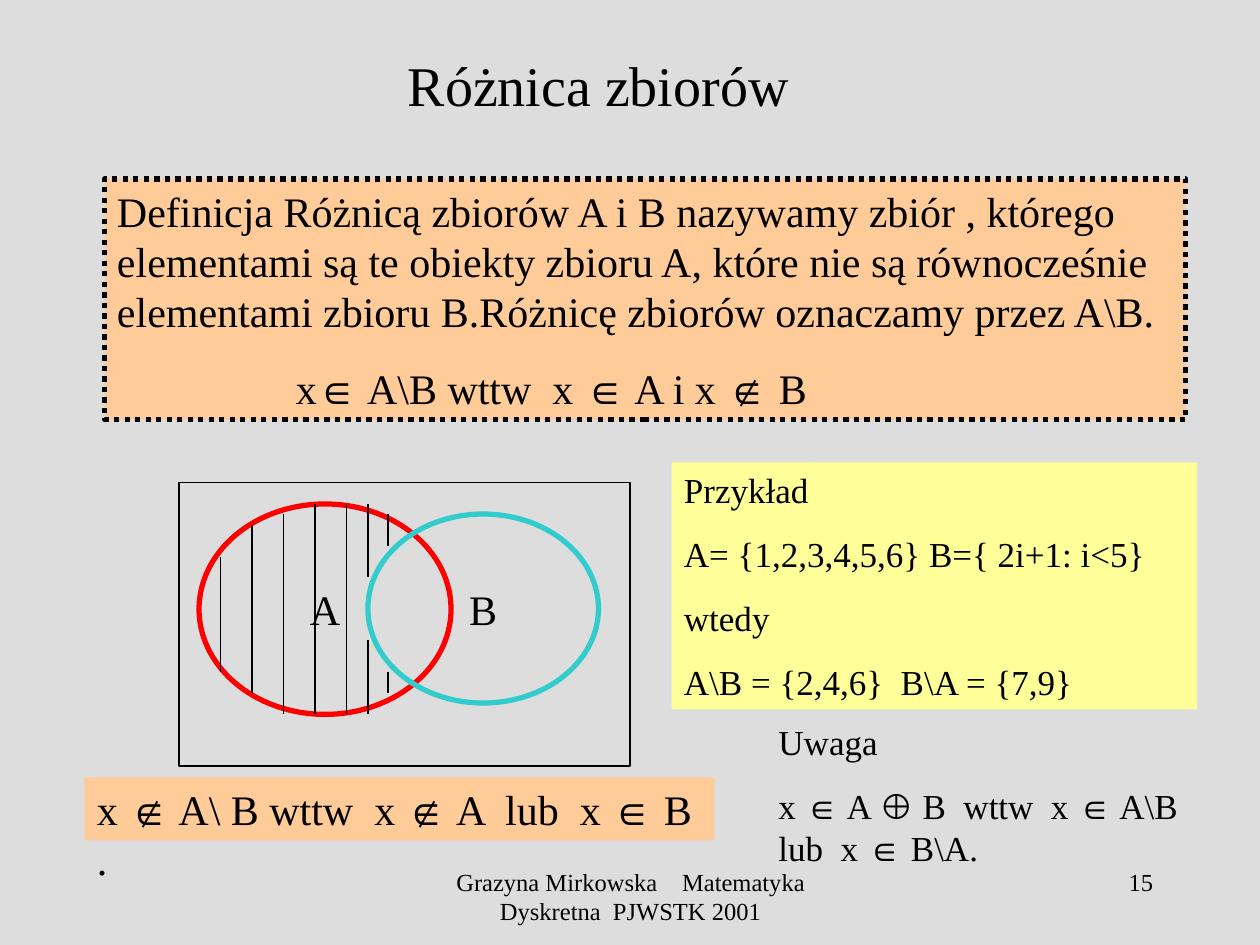
from itertools import groupby

from lxml.etree import SubElement
from pptx import Presentation
from pptx.dml.color import RGBColor
from pptx.enum.dml import MSO_LINE
from pptx.enum.shapes import MSO_CONNECTOR, MSO_SHAPE
from pptx.enum.text import MSO_ANCHOR, PP_ALIGN
from pptx.oxml.ns import qn
from pptx.util import Inches, Pt

COLORS = {
    "page": "DDDDDD",
    "ink": "000000",
    "peach": "FFCC99",
    "yellow": "FFFF99",
    "set_a": "FF0000",
    "set_b": "33CCCC",
}
SYMBOLS = "∈∉⊕"
FRAME_FORMAT = {
    "word_wrap": True,
    "vertical_anchor": MSO_ANCHOR.TOP,
    "margin_left": Inches(0.1),
    "margin_right": Inches(0.1),
    "margin_top": Inches(0.05),
    "margin_bottom": Inches(0.05),
}


def color(name):
    return RGBColor.from_string(COLORS[name])


def set_format(target, values):
    for name, value in values.items():
        setattr(target, name, value)


def add_span(para, text, size, font="Times New Roman"):
    span = para.add_run()
    span.text = text
    set_format(span.font, {"size": Pt(size), "name": font})
    span.font.color.rgb = color("ink")
    return span


def write(box, lines, size, align=PP_ALIGN.LEFT, gap=0, **frame_format):
    frame = box.text_frame
    set_format(frame, FRAME_FORMAT | frame_format)
    for index, line in enumerate(lines):
        para = frame.add_paragraph() if index else frame.paragraphs[0]
        set_format(para, {"alignment": align, "space_before": Pt(gap if index else 0)})
        for is_symbol, letters in groupby(line, lambda letter: letter in SYMBOLS):
            add_span(para, "".join(letters), size, "Arial" if is_symbol else "Times New Roman")
    return frame


def add_panel(page, kind, area, fill=None, line=None, weight=0.75):
    panel = page.shapes.add_shape(kind, *map(Inches, area))
    panel.shadow.inherit = False
    if fill:
        panel.fill.solid()
        panel.fill.fore_color.rgb = color(fill)
    else:
        panel.fill.background()
    if line:
        panel.line.color.rgb = color(line)
        panel.line.width = Pt(weight)
    else:
        panel.line.fill.background()
    return panel


def add_text(page, area, lines, size, **options):
    box = page.shapes.add_textbox(*map(Inches, area))
    return write(box, lines, size, **options)


def add_title(page, area):
    title = page.shapes.title
    set_format(title, dict(zip(("left", "top", "width", "height"), map(Inches, area))))
    write(title, ["Różnica zbiorów"], 32, PP_ALIGN.CENTER, vertical_anchor=MSO_ANCHOR.MIDDLE)


def add_definition(page, area):
    panel = add_panel(page, MSO_SHAPE.RECTANGLE, area, "peach", "ink", 3)
    panel.line.dash_style = MSO_LINE.ROUND_DOT
    frame = write(panel, [
        "Definicja Różnicą zbiorów A i B nazywamy zbiór , którego elementami są te obiekty "
        "zbioru A, które nie są równocześnie elementami zbioru B.Różnicę zbiorów oznaczamy "
        "przez A\\B.",
        "x∈ A\\B wttw  x ∈ A i x ∉ B",
    ], 24, gap=15)
    formula = frame.paragraphs[1].alignment and frame.paragraphs[1]._p.get_or_add_pPr()
    set_indent(frame.paragraphs[1], 1.42) if formula is None else formula.set("marL", str(Inches(1.42)))


def set_indent(para, indent):
    para._p.get_or_add_pPr().set("marL", str(Inches(indent)))


def add_venn(page, area):
    left, top, width, height = area
    circles = [
        ("A", "set_a", (left + 0.16, top + 0.17, 2, 1.67)),
        ("B", "set_b", (left + 1.5, top + 0.25, 1.83, 1.5)),
    ]
    for label, line, place in circles:
        circle = add_panel(page, MSO_SHAPE.OVAL, place, line=line, weight=3)
        write(circle, [label], 24, PP_ALIGN.CENTER, word_wrap=False,
              vertical_anchor=MSO_ANCHOR.MIDDLE)
    add_panel(page, MSO_SHAPE.RECTANGLE, area, line="ink")

    hatching = page.shapes.add_group_shape()
    strokes = [
        (0.33, 0.59, 1.5), (0.58, 0.34, 1.67), (0.83, 0.25, 1.84),
        (1.08, 0.17, 1.84), (1.33, 0.17, 1.84), (1.5, 0.17, 0.75),
        (1.5, 1.25, 1.84), (1.66, 0.25, 0.5), (1.66, 1.5, 1.67),
    ]
    for across, start, end in strokes:
        points = (left + across, top + start, left + across, top + end)
        stroke = hatching.shapes.add_connector(MSO_CONNECTOR.STRAIGHT, *map(Inches, points))
        stroke.line.color.rgb = color("ink")
        stroke.line.width = Pt(0.75)
        SubElement(stroke._element.spPr, qn("a:effectLst"))


def add_complement(page, area):
    panel = add_panel(page, MSO_SHAPE.RECTANGLE, area, "peach")
    write(panel, ["x ∉ A\\ B wttw  x ∉ A  lub  x ∈ B ."], 24)


def add_example(page, area):
    panel = add_panel(page, MSO_SHAPE.RECTANGLE, area, "yellow")
    write(panel, [
        "Przykład",
        "A= {1,2,3,4,5,6} B={ 2i+1: i<5}",
        "wtedy",
        "A\\B = {2,4,6}  B\\A = {7,9}",
    ], 20, gap=12.5)


def add_remark(page, area):
    add_text(page, area, ["Uwaga", "x ∈ A ⊕ B  wttw  x ∈ A\\B lub  x ∈ B\\A."], 20, gap=12.5)


def add_footer(page, area, number_area):
    frame = add_text(page, area, ["Grazyna Mirkowska"], 14, align=PP_ALIGN.CENTER)
    para = frame.paragraphs[0]
    wide_space = add_span(para, " ", 14)
    wide_space.font._element.set("spc", "1050")
    add_span(para, "Matematyka Dyskretna  PJWSTK 2001", 14)
    add_text(page, number_area, ["15"], 14, align=PP_ALIGN.RIGHT)


def main():
    deck = Presentation()
    set_format(deck, {"slide_width": Inches(10), "slide_height": Inches(7.5)})
    page = deck.slides.add_slide(deck.slide_layouts[5])
    page.background.fill.solid()
    page.background.fill.fore_color.rgb = color("page")
    add_title(page, (0.5, 0.17, 8.5, 1))
    add_definition(page, (0.83, 1.42, 8.58, 1.91))
    add_complement(page, (0.67, 6.17, 5, 0.5))
    add_venn(page, (1.42, 3.83, 3.58, 2.25))
    add_example(page, (5.33, 3.67, 4.17, 1.96))
    add_remark(page, (6.08, 5.67, 3.5, 1.28))
    add_footer(page, (3.42, 6.83, 3.17, 0.5), (7.17, 6.83, 2.08, 0.5))
    deck.save("out.pptx")


if __name__ == "__main__":
    main()
